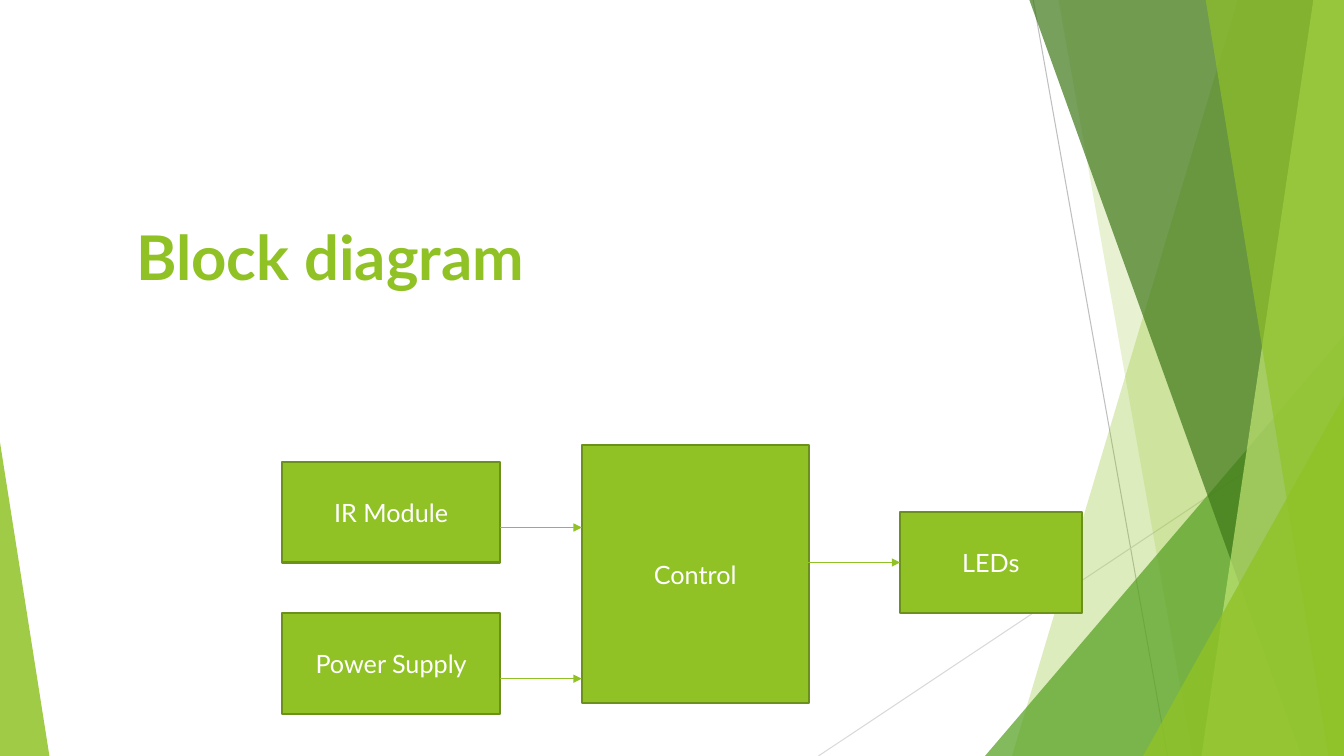
from pptx import Presentation
from pptx import util as u
from pptx.dml.color import RGBColor
from pptx.enum import shapes, text
from pptx.oxml import ns, xmlchemy

WIDTH, HEIGHT = 960, 540
TOP = -0.6
FONT = "Lato"
LIME = RGBColor(0x90, 0xC2, 0x26)
OLIVE = RGBColor(0x6B, 0x90, 0x1C)
PALE_LIME = RGBColor(0xC0, 0xE4, 0x74)
GREEN = RGBColor(0x54, 0xA0, 0x21)
FOREST = RGBColor(0x3F, 0x78, 0x19)
GREY = RGBColor(0xBF, 0xBF, 0xBF)
LIGHT_GREY = RGBColor(0xD9, 0xD9, 0xD9)
WHITE = RGBColor(0xFF, 0xFF, 0xFF)


class SlideBuilder:
    def __init__(self, page, font):
        self.page = page
        self.font = font

    def add_words(self, para, words, size, color, bold=False):
        span = para.add_run()
        span.text = words
        span.font.name = self.font
        span.font.size = u.Pt(size)
        span.font.bold = bold
        span.font.color.rgb = color

    def tint(self, shape, color, opacity):
        shape.shadow.inherit = False
        shape.line.fill.background()
        shape.fill.solid()
        shape.fill.fore_color.rgb = color
        paint = next(shape.element.spPr.iter(ns.qn("a:srgbClr")))
        alpha = xmlchemy.OxmlElement("a:alpha")
        alpha.set("val", str(opacity * 1000))
        paint.append(alpha)

    def band(self, top_x, bottom_x, color, opacity):
        outline = self.page.shapes.build_freeform(u.Pt(top_x), u.Pt(TOP))
        corners = [(WIDTH, TOP), (WIDTH, HEIGHT), (bottom_x, HEIGHT)]
        outline.add_line_segments([(u.Pt(x), u.Pt(y)) for x, y in corners])
        self.tint(outline.convert_to_shape(), color, opacity)

    def wedge(self, left, top, width, apex, color, opacity):
        shape = self.page.shapes.add_shape(
            shapes.MSO_SHAPE.ISOSCELES_TRIANGLE,
            u.Pt(left), u.Pt(top), u.Pt(width), u.Pt(HEIGHT - top))
        shape.adjustments[0] = apex
        self.tint(shape, color, opacity)

    def line(self, start, end, color, weight, arrow=False):
        connector = self.page.shapes.add_connector(
            shapes.MSO_CONNECTOR.STRAIGHT, *(u.Pt(v) for v in start + end))
        connector.line.color.rgb = color
        connector.line.width = u.Pt(weight)
        if arrow:
            head = xmlchemy.OxmlElement("a:tailEnd")
            head.set("type", "triangle")
            connector.element.spPr.find(ns.qn("a:ln")).append(head)
        connector.element.spPr.append(xmlchemy.OxmlElement("a:effectLst"))

    def title(self, words, left, top, width, height):
        box = self.page.shapes.title
        box.element.getparent().append(box.element)
        box.left, box.top = u.Pt(left), u.Pt(top)
        box.width, box.height = u.Pt(width), u.Pt(height)
        frame = box.text_frame
        frame.auto_size = text.MSO_AUTO_SIZE.NONE
        frame.vertical_anchor = text.MSO_ANCHOR.MIDDLE
        para = frame.paragraphs[0]
        para.alignment = text.PP_ALIGN.LEFT
        self.add_words(para, words, 44, LIME, bold=True)

    def block(self, words, left, top, width, height):
        box = self.page.shapes.add_shape(
            shapes.MSO_SHAPE.RECTANGLE,
            u.Pt(left), u.Pt(top), u.Pt(width), u.Pt(height))
        box.shadow.inherit = False
        box.fill.solid()
        box.fill.fore_color.rgb = LIME
        box.line.color.rgb = OLIVE
        box.line.width = u.Pt(1.5)
        frame = box.text_frame
        frame.word_wrap = True
        frame.vertical_anchor = text.MSO_ANCHOR.MIDDLE
        para = frame.paragraphs[0]
        para.alignment = text.PP_ALIGN.CENTER
        self.add_words(para, words, 18, WHITE)


def main():
    deck = Presentation()
    deck.slide_width, deck.slide_height = u.Pt(WIDTH), u.Pt(HEIGHT)
    builder = SlideBuilder(deck.slides.add_slide(deck.slide_layouts[5]), FONT)

    builder.line((738, 0), (834, HEIGHT), GREY, 0.75)
    builder.line((WIDTH, 290), (584.6, HEIGHT), LIGHT_GREY, 0.75)
    builder.band(884.2, 722.9, LIME, 30)
    builder.band(756, 851.8, LIME, 20)
    builder.wedge(703.6, 239.8, 256.4, 1, GREEN, 72)
    builder.band(735.1, 929.5, FOREST, 70)
    builder.band(938.2, 858.2, PALE_LIME, 70)
    builder.band(861.1, 949, LIME, 65)
    builder.wedge(816.5, 283, 143.5, 1, LIME, 80)
    builder.wedge(0, 316, 35.3, 0, LIME, 85)

    builder.title("Block diagram", 90, 48, 780, 270)

    builder.block("Control", 415.6, 318, 162, 184)
    builder.block("LEDs", 643, 365.8, 129.6, 72)
    for row, source in enumerate(["IR Module", "Power Supply"]):
        top = 329.8 + row * 108
        builder.block(source, 201.4, top, 156, 72)
        builder.line((357.4, top + 47), (415.6, top + 47), LIME, 1, arrow=True)
    builder.line((545, 401.8), (643, 401.8), LIME, 1, arrow=True)

    deck.save("out.pptx")


if __name__ == "__main__":
    main()
